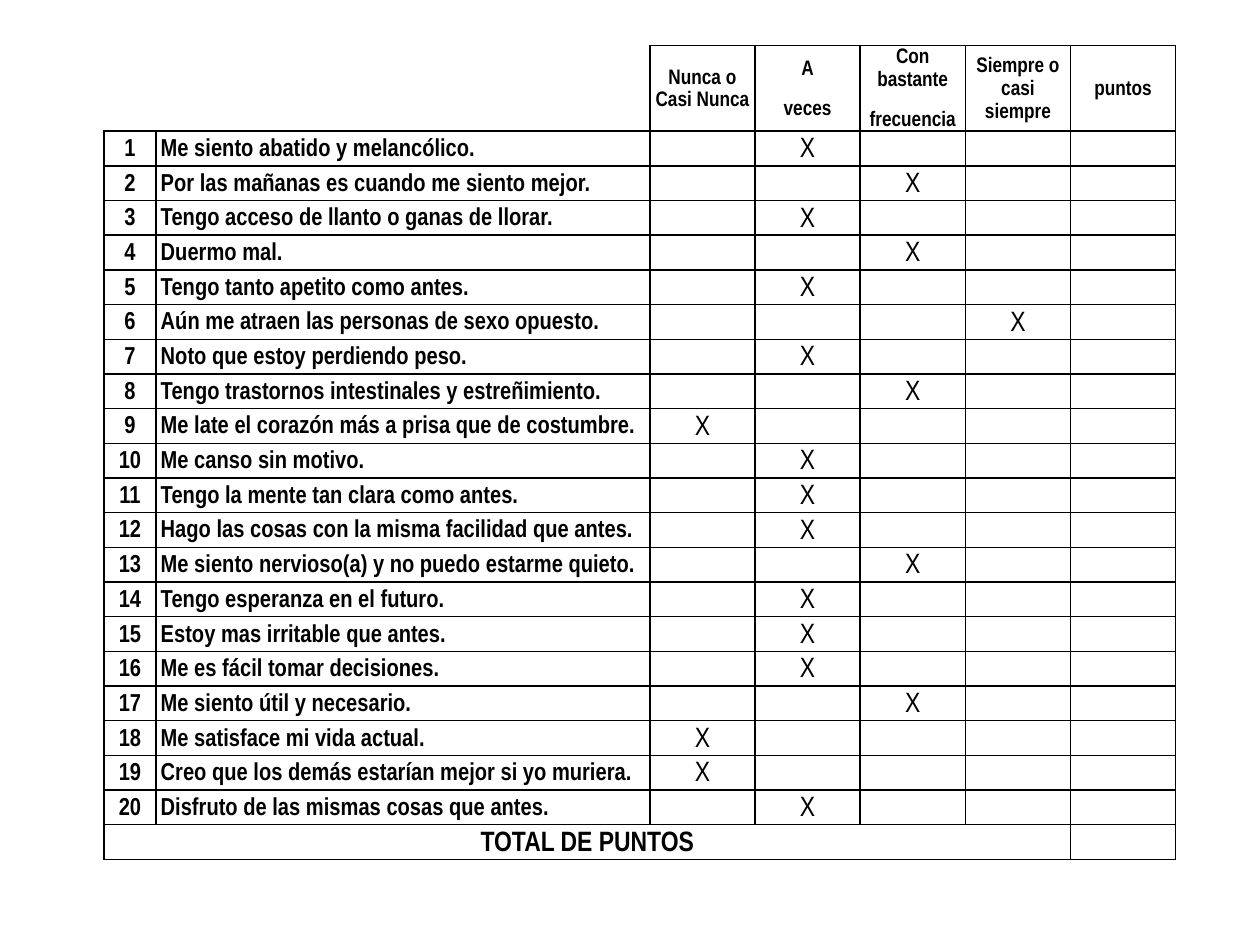
from lxml.etree import SubElement
from pptx import Presentation
from pptx.dml.color import RGBColor
from pptx.enum.text import MSO_ANCHOR, PP_ALIGN
from pptx.oxml.ns import qn
from pptx.util import Cm, Pt

BLACK = "000000"
FONT = "Arial Narrow"
HEADINGS = [
    ["Nunca o Casi Nunca"],
    ["A", "veces"],
    ["Con bastante", "frecuencia"],
    ["Siempre o casi siempre"],
    ["puntos"],
]
NEVER, SOMETIMES, OFTEN, ALWAYS = range(2, 6)
QUESTIONS = [
    ("Me siento abatido y melancólico.", SOMETIMES),
    ("Por las mañanas es cuando me siento mejor.", OFTEN),
    ("Tengo acceso de llanto o ganas de llorar.", SOMETIMES),
    ("Duermo mal.", OFTEN),
    ("Tengo tanto apetito como antes.", SOMETIMES),
    ("Aún me atraen las personas de sexo opuesto.", ALWAYS),
    ("Noto que estoy perdiendo peso.", SOMETIMES),
    ("Tengo trastornos intestinales y estreñimiento.", OFTEN),
    ("Me late el corazón más a prisa que de costumbre.", NEVER),
    ("Me canso sin motivo.", SOMETIMES),
    ("Tengo la mente tan clara como antes.", SOMETIMES),
    ("Hago las cosas con la misma facilidad que antes.", SOMETIMES),
    ("Me siento nervioso(a) y no puedo estarme quieto.", OFTEN),
    ("Tengo esperanza en el futuro.", SOMETIMES),
    ("Estoy mas irritable que antes.", SOMETIMES),
    ("Me es fácil tomar decisiones.", SOMETIMES),
    ("Me siento útil y necesario.", OFTEN),
    ("Me satisface mi vida actual.", NEVER),
    ("Creo que los demás estarían mejor si yo muriera.", NEVER),
    ("Disfruto de las mismas cosas que antes.", SOMETIMES),
]
TOTAL = "TOTAL DE PUNTOS"
COLUMN_WIDTHS = [1.04, 9.96] + [2.12] * len(HEADINGS)
ROW_HEIGHTS = [1.72] + [0.7] * (len(QUESTIONS) + 1)


def color(value):
    return RGBColor.from_string(value)


def set_borders(cell, hidden=""):
    properties = cell._tc.get_or_add_tcPr()
    for side in "LRTB":
        line = SubElement(properties, qn(f"a:ln{side}"), w=str(Pt(1)))
        if side in hidden:
            SubElement(line, qn("a:noFill"))
        else:
            fill = SubElement(line, qn("a:solidFill"))
            SubElement(fill, qn("a:srgbClr"), val=BLACK)


def prepare(cell, hidden=""):
    set_borders(cell, hidden)
    cell.fill.background()
    cell.vertical_anchor = MSO_ANCHOR.MIDDLE
    cell.margin_left = cell.margin_right = Cm(0.1)
    cell.margin_top = cell.margin_bottom = 0


def write(cell, lines, size, bold=True, align=PP_ALIGN.CENTER):
    frame = cell.text_frame
    for index, line in enumerate(lines):
        para = frame.add_paragraph() if index else frame.paragraphs[0]
        para.alignment = align
        para.line_spacing = 1.15
        para.space_after = Pt(10)
        span = para.add_run()
        span.text = line
        span.font.name = FONT
        span.font.size = Pt(size)
        span.font.bold = bold
        span.font.color.rgb = color(BLACK)


def main():
    deck = Presentation()
    deck.slide_width, deck.slide_height = Cm(25.4), Cm(19.05)
    page = deck.slides.add_slide(deck.slide_layouts[6])
    table = page.shapes.add_table(
        len(ROW_HEIGHTS), len(COLUMN_WIDTHS), Cm(2.1), Cm(0.92),
        Cm(sum(COLUMN_WIDTHS)), Cm(sum(ROW_HEIGHTS)),
    ).table
    table.first_row = table.horz_banding = False
    for column, width in zip(table.columns, COLUMN_WIDTHS):
        column.width = Cm(width)
    for row, height in zip(table.rows, ROW_HEIGHTS):
        row.height = Cm(height)

    last = len(ROW_HEIGHTS) - 1
    for row_index, row in enumerate(table.rows):
        for column_index, cell in enumerate(row.cells):
            corner = row_index == 0 and column_index < 2
            prepare(cell, ("LTR", "LT")[column_index] if corner else "")
    table.cell(0, 0).merge(table.cell(0, 1))
    table.cell(last, 0).merge(table.cell(last, 5))

    for column_index, lines in enumerate(HEADINGS, 2):
        write(table.cell(0, column_index), lines, 12)
    for number, (question, answer) in enumerate(QUESTIONS, 1):
        write(table.cell(number, 0), [str(number)], 14)
        write(table.cell(number, 1), [question], 14, align=PP_ALIGN.LEFT)
        write(table.cell(number, answer), ["X"], 16, bold=False)
    write(table.cell(last, 0), [TOTAL], 16)

    for cell in table.iter_cells():
        if not cell.text_frame.text:
            SubElement(cell.text_frame.paragraphs[0]._p, qn("a:endParaRPr"), sz="1200")
    deck.save("out.pptx")


if __name__ == "__main__":
    main()
